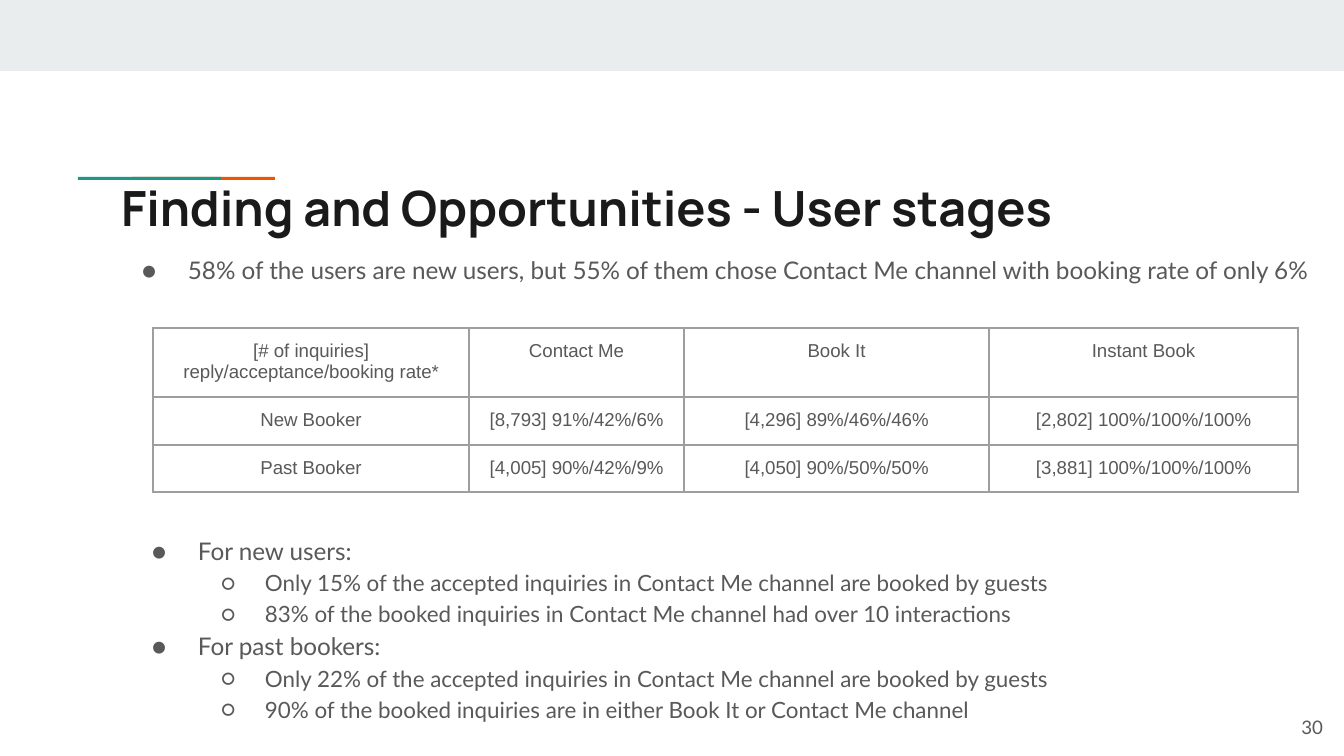
"""Build the user stages slide with its findings and booking table."""
from dataclasses import dataclass

from lxml.etree import SubElement
from pptx import Presentation
from pptx.dml.color import RGBColor as RGB
from pptx.enum.shapes import MSO_SHAPE as SHAPE
from pptx.enum.text import MSO_ANCHOR as ANCHOR, MSO_AUTO_SIZE as AUTO, PP_ALIGN as ALIGN
from pptx.oxml.ns import qn
from pptx.util import Pt


@dataclass(frozen=True)
class Theme:
    band: str = "E9EDEE"
    orange: str = "EB5600"
    teal: str = "1A9988"
    title: str = "1A1A1A"
    text: str = "595959"
    border: str = "9E9E9E"
    head_font: str = "Manrope"
    body_font: str = "Lato"
    table_font: str = "Arial"
    title_size: int = 26
    bullet_size: int = 13
    sub_size: int = 12
    small_size: int = 10


T = Theme()
PX = 914400 / 134.4
INSET = round(13 * PX)


def style(p, size, font, color=T.text, bold=False, align=ALIGN.LEFT):
    p.alignment = align
    for r in p.runs:
        r.font.size, r.font.name, r.font.bold = Pt(size), font, bold
        r.font.color.rgb = RGB.from_string(color)


def set_frame(sp, box, anchor=ANCHOR.TOP):
    sp.left, sp.top, sp.width, sp.height = (round(v * PX) for v in box)
    tf = sp.text_frame
    tf.word_wrap, tf.auto_size, tf.vertical_anchor = True, AUTO.NONE, anchor
    tf.margin_left = tf.margin_right = tf.margin_top = tf.margin_bottom = INSET
    return tf


prs = Presentation()
prs.slide_width, prs.slide_height = round(1344 * PX), round(756 * PX)
s = prs.slides.add_slide(prs.slide_layouts[5])

bars = [
    (0, 0, 1344, 71, T.band),
    (132, 177, 143, 3, T.orange),
    (78, 177, 143, 3, T.teal),
]
for *box, color in bars:
    sp = s.shapes.add_shape(SHAPE.RECTANGLE, *(round(v * PX) for v in box))
    sp.shadow.inherit = False
    sp.fill.solid()
    sp.fill.fore_color.rgb = RGB.from_string(color)
    sp.line.fill.background()

tf = set_frame(s.shapes.title, (108, 165, 1130, 69))
tf.text = "Finding and Opportunities - User stages"
style(tf.paragraphs[0], T.title_size, T.head_font, T.title, True)

levels = [(T.bullet_size, 67, -46, "●"), (T.sub_size, 134, -44, "○")]
bullet_boxes = [
    ((108, 238, 1215, 43), [
        (0, "58% of the users are new users, but 55% of them chose Contact Me channel "
            "with booking rate of only 6%"),
    ]),
    ((118, 519, 1259, 148), [
        (0, "For new users:"),
        (1, "Only 15% of the accepted inquiries in Contact Me channel are booked by guests"),
        (1, "83% of the booked inquiries in Contact Me channel had over 10 interactions"),
        (0, "For past bookers:"),
        (1, "Only 22% of the accepted inquiries in Contact Me channel are booked by guests"),
        (1, "90% of the booked inquiries are in either Book It or Contact Me channel"),
    ]),
]
for box, items in bullet_boxes:
    tf = set_frame(s.shapes.add_textbox(0, 0, 0, 0), box)
    tf.text = "\n".join(text for _, text in items)
    for p, (level, _) in zip(tf.paragraphs, items):
        size, margin, indent, mark = levels[level]
        style(p, size, T.body_font)
        p.level, p.line_spacing = level, 1.15
        pPr = p._p.get_or_add_pPr()
        pPr.set("marL", str(round(margin * PX)))
        pPr.set("indent", str(round(indent * PX)))
        SubElement(SubElement(pPr, qn("a:buClr")), qn("a:srgbClr"), val=T.text)
        SubElement(pPr, qn("a:buFont"), typeface=T.body_font)
        SubElement(pPr, qn("a:buChar"), char=mark)

rows = [
    ["[# of inquiries] reply/acceptance/booking rate*", "Contact Me", "Book It", "Instant Book"],
    ["New Booker", "[8,793] 91%/42%/6%", "[4,296] 89%/46%/46%", "[2,802] 100%/100%/100%"],
    ["Past Booker", "[4,005] 90%/42%/9%", "[4,050] 90%/50%/50%", "[3,881] 100%/100%/100%"],
]
widths, heights = [316, 215, 305, 309], [69, 48, 47]
box = (153, 328, sum(widths), sum(heights))
table = s.shapes.add_table(len(rows), len(widths), *(round(v * PX) for v in box)).table
table.first_row = table.horz_banding = False
for col, width in zip(table.columns, widths):
    col.width = round(width * PX)
for row, height, texts in zip(table.rows, heights, rows):
    row.height = round(height * PX)
    for cell, text in zip(row.cells, texts):
        cell.margin_left = cell.margin_right = cell.margin_top = cell.margin_bottom = INSET
        cell.text_frame.text = text
        style(cell.text_frame.paragraphs[0], T.small_size, T.table_font, align=ALIGN.CENTER)
        tcPr = cell._tc.get_or_add_tcPr()
        for side in ("a:lnL", "a:lnR", "a:lnT", "a:lnB"):
            ln = SubElement(tcPr, qn(side), w=str(Pt(0.75)))
            SubElement(SubElement(ln, qn("a:solidFill")), qn("a:srgbClr"), val=T.border)
        cell.fill.background()

tf = set_frame(s.shapes.add_textbox(0, 0, 0, 0), (1255, 698, 81, 58), ANCHOR.MIDDLE)
tf.text = "30"
style(tf.paragraphs[0], T.small_size, T.body_font, align=ALIGN.RIGHT)

prs.save("out.pptx")
